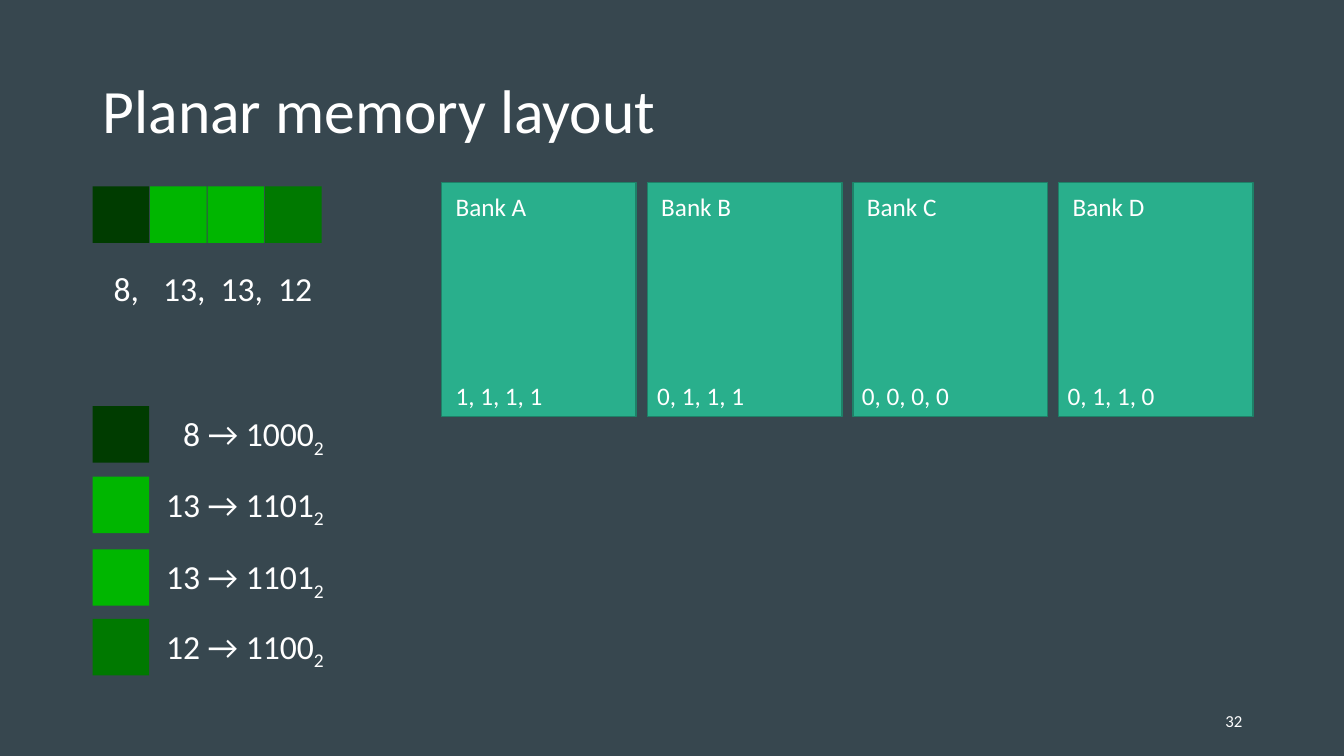
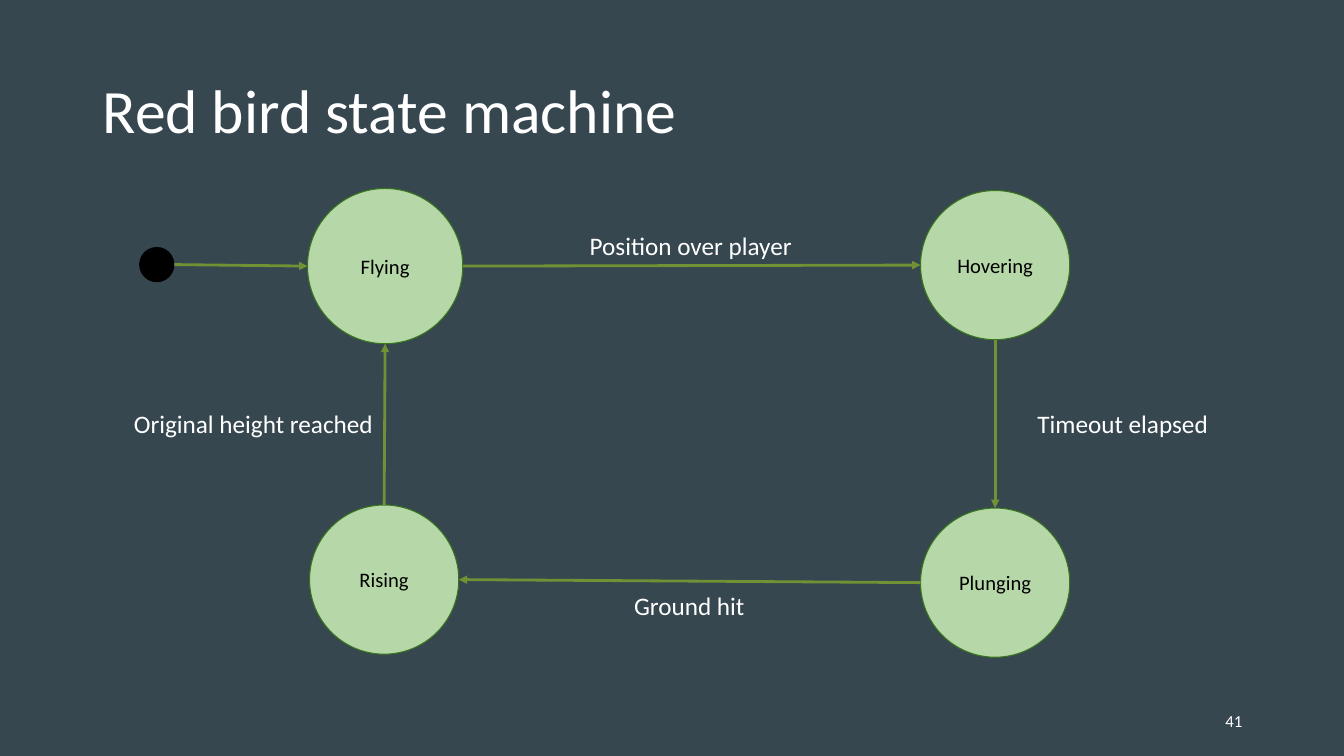
"""Build two slides: a planar memory layout and a bird state machine."""
from lxml import etree
from pptx import Presentation
from pptx.dml.color import RGBColor
from pptx.enum import shapes, text
from pptx.oxml import ns
from pptx.util import Inches, Pt

BACKGROUND = RGBColor(0x37, 0x47, 0x4F)
WHITE = RGBColor(0xFF, 0xFF, 0xFF)
BLACK = RGBColor(0x00, 0x00, 0x00)
BANK_FILL = RGBColor(0x29, 0xAF, 0x8C)
BANK_LINE = RGBColor(0x1E, 0x81, 0x68)
STATE_FILL = RGBColor(0xB6, 0xD7, 0xA8)
STATE_LINE = RGBColor(0x38, 0x76, 0x1D)
ARROW = RGBColor(0x72, 0x91, 0x34)
SHADES = {
    8: RGBColor(0x00, 0x3C, 0x00),
    13: RGBColor(0x00, 0xB6, 0x00),
    12: RGBColor(0x00, 0x79, 0x00),
}
FONT = "Calibri"


def add_text(slide, box, words, size, subscript="", align=text.PP_ALIGN.LEFT,
             anchor=text.MSO_ANCHOR.TOP, wrap=False):
    frame = slide.shapes.add_textbox(*map(Inches, box)).text_frame
    frame.word_wrap = wrap
    frame.vertical_anchor = anchor
    paragraph = frame.paragraphs[0]
    paragraph.alignment = align
    for part in filter(None, (words, subscript)):
        run = paragraph.add_run()
        run.text = part
        run.font.name, run.font.size = FONT, Pt(size)
        run.font.color.rgb = WHITE
    if subscript:
        run.font._element.set("baseline", "-25000")
    return paragraph


def add_figure(slide, kind, box, fill, line=None, weight=1):
    figure = slide.shapes.add_shape(kind, *map(Inches, box))
    figure.shadow.inherit = False
    figure.fill.solid()
    figure.fill.fore_color.rgb = fill
    if line is None:
        figure.line.fill.background()
    else:
        figure.line.color.rgb = line
        figure.line.width = Pt(weight)
    return figure


prs = Presentation()
prs.slide_width, prs.slide_height = Inches(13.33), Inches(7.5)
prs.slide_master.background.fill.solid()
prs.slide_master.background.fill.fore_color.rgb = BACKGROUND

slides = []
for title, number in (("Planar memory layout", "32"), ("Red bird state machine", "41")):
    slide = prs.slides.add_slide(prs.slide_layouts[6])
    heading = add_text(slide, (0.92, 0.4, 11.5, 1.45), title, 44,
                       anchor=text.MSO_ANCHOR.MIDDLE, wrap=True)
    heading.line_spacing = 0.9
    add_text(slide, (9.42, 6.95, 3, 0.4), number, 12, align=text.PP_ALIGN.RIGHT,
             anchor=text.MSO_ANCHOR.MIDDLE, wrap=True)
    slides.append(slide)
memory, machine = slides

RECT = shapes.MSO_SHAPE.RECTANGLE
pixels = (8, 13, 13, 12)
pixel_size = 0.56
for i, (value, top) in enumerate(zip(pixels, (4.03, 4.73, 5.45, 6.14))):
    for corner in ((0.92 + 0.57 * i, 1.85), (0.92, top)):
        add_figure(memory, RECT, (*corner, pixel_size, pixel_size), SHADES[value])
    add_text(memory, (1.5, top + 0.02, 1.81, 0.5), f"{value} → {value:04b}", 24,
             subscript="2", align=text.PP_ALIGN.RIGHT, wrap=True)

values = add_text(memory, (1.03, 2.61, 2.17, 0.5), "8,\t13,\t13,\t12", 24, wrap=True)
tabs = etree.SubElement(values._p.get_or_add_pPr(), ns.qn("a:tabLst"))
for i in range(3):
    etree.SubElement(tabs, ns.qn("a:tab"), pos=str(Inches(0.49 + 0.57 * i)), algn="l")

for i, (bank, bits_left) in enumerate(zip("ABCD", (4.42, 6.42, 8.45, 10.49))):
    left = 4.38 + 2.04 * i
    add_figure(memory, RECT, (left, 1.81, 1.93, 2.32), BANK_FILL, BANK_LINE)
    add_text(memory, (left + 0.04, 1.85, 0.91, 0.4), f"Bank {bank}", 18)
    bits = ", ".join(f"{value:04b}"[i] for value in pixels)
    add_text(memory, (bits_left, 3.72, 1.08, 0.4), bits, 18)

OVAL = shapes.MSO_SHAPE.OVAL
states = {
    "Start": (1.38, 2.45, 0.35),
    "Flying": (3.05, 1.87, 1.54),
    "Hovering": (9.13, 1.89, 1.48),
    "Plunging": (9.13, 5.04, 1.48),
    "Rising": (3.07, 5.01, 1.48),
}
for name, (left, top, size) in states.items():
    box = (left, top, size, size)
    if name == "Start":
        add_figure(machine, OVAL, box, BLACK)
        continue
    frame = add_figure(machine, OVAL, box, STATE_FILL, STATE_LINE, 0.75).text_frame
    frame.margin_left = frame.margin_right = Inches(0.13)
    frame.margin_top = frame.margin_bottom = Inches(0.13)
    frame.vertical_anchor = text.MSO_ANCHOR.MIDDLE
    frame.paragraphs[0].alignment = text.PP_ALIGN.CENTER
    run = frame.paragraphs[0].add_run()
    run.text = name
    run.font.name, run.font.size = FONT, Pt(14.7)
    run.font.color.rgb = BLACK

SIDES = {"left": (0, 0.5), "right": (1, 0.5), "top": (0.5, 0), "bottom": (0.5, 1)}
transitions = (
    ("Start", "right", "Flying", "left"),
    ("Flying", "right", "Hovering", "left"),
    ("Hovering", "bottom", "Plunging", "top"),
    ("Plunging", "left", "Rising", "right"),
    ("Rising", "top", "Flying", "bottom"),
)
for source, exit_side, target, entry_side in transitions:
    ends = []
    for state, side in ((source, exit_side), (target, entry_side)):
        left, top, size = states[state]
        across, down = SIDES[side]
        ends += [Inches(left + size * across), Inches(top + size * down)]
    arrow = machine.shapes.add_connector(shapes.MSO_CONNECTOR.STRAIGHT, *ends)
    arrow.line.color.rgb = ARROW
    arrow.line.width = Pt(2)
    etree.SubElement(arrow.line._get_or_add_ln(), ns.qn("a:tailEnd"), type="triangle")
    etree.SubElement(arrow._element.spPr, ns.qn("a:effectLst"))

for event, left, top, width in (
    ("Position over player", 5.75, 2.24, 2.23),
    ("Timeout elapsed", 10.19, 4, 1.91),
    ("Ground hit", 6.19, 5.81, 1.31),
    ("Original height reached", 1.23, 4, 2.6),
):
    add_text(machine, (left, top, width, 0.4), event, 18)

prs.save("out.pptx")
